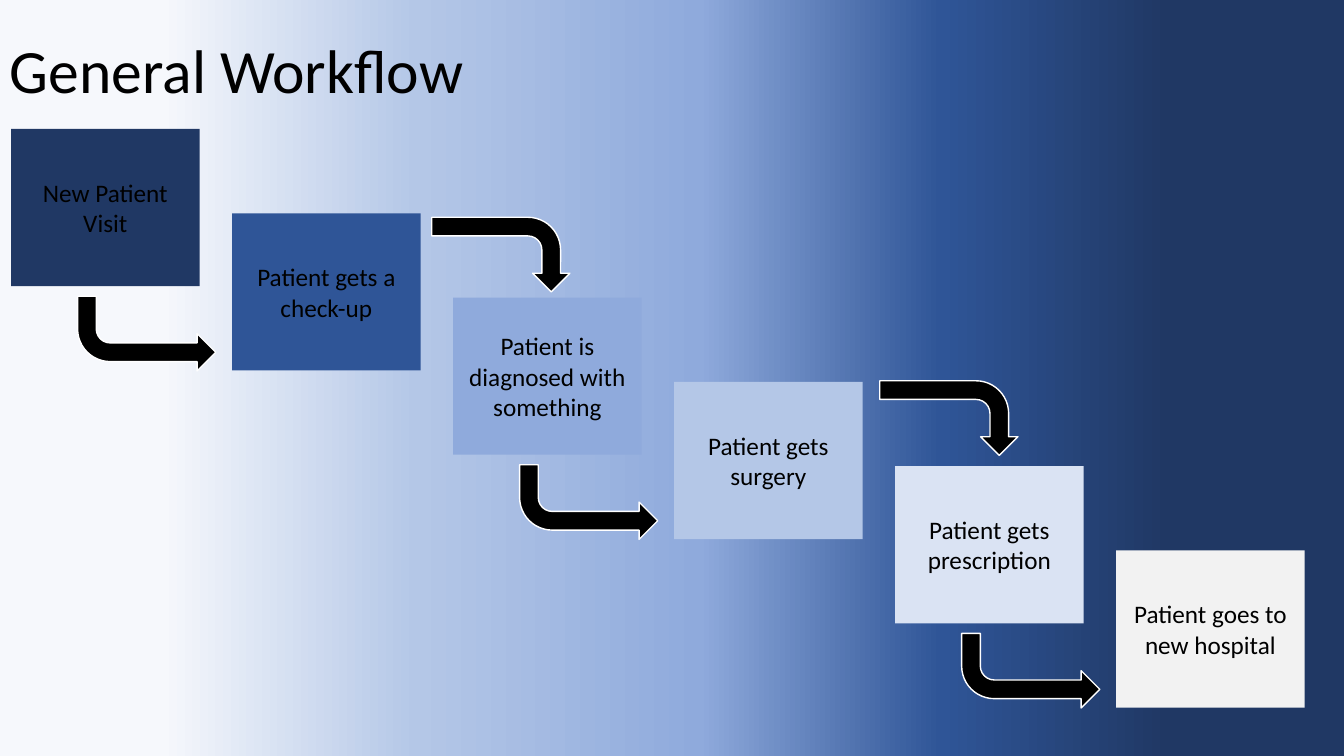
from pptx import Presentation
from pptx.dml.color import RGBColor
from pptx.enum.shapes import MSO_SHAPE
from pptx.enum.text import MSO_ANCHOR, PP_ALIGN
from pptx.oxml.ns import qn
from pptx.util import Inches, Pt
from lxml import etree

RECT, BENT_ARROW = MSO_SHAPE.RECTANGLE, MSO_SHAPE.BENT_ARROW
MIDDLE = MSO_ANCHOR.MIDDLE
LEFT, CENTER = PP_ALIGN.LEFT, PP_ALIGN.CENTER

FONT = "Calibri"
COLORS = {
    "black": "000000", "white": "FFFFFF", "mist": "F6F8FC",
    "navy": "203864", "blue": "2F5597", "sky": "8FAADC",
    "light": "B4C7E7", "pale": "DAE3F3", "grey": "F2F2F2",
}
GRADIENT = [(12, "mist"), (31, "light"), (52, "sky"), (70, "blue"), (87, "navy")]

# Step text, fill, and the offset of the arrow that leaves the step
STEPS = [
    ("New Patient Visit", "navy", (0.66, 1.66)),
    ("Patient gets a check-up", "blue", (1.98, 0.04)),
    ("Patient is diagnosed with something", "sky", (0.66, 1.66)),
    ("Patient gets surgery", "light", (2.04, -0.01)),
    ("Patient gets prescription", "pale", (0.66, 1.66)),
    ("Patient goes to new hospital", "grey", None),
]
STEP_W, STEP_H = 1.87, 1.56
ARROW_W, ARROW_H = 1.37, 0.74


def rgb(name):
    return RGBColor.from_string(COLORS[name])


def write(sp, text, size=18, color="black", align=CENTER, spacing=1.0):
    tf = sp.text_frame
    tf.word_wrap = True
    tf.vertical_anchor = MIDDLE
    p = tf.paragraphs[0]
    p.alignment = align
    p.line_spacing = spacing
    r = p.add_run()
    r.text = text
    r.font.name = FONT
    r.font.size = Pt(size)
    r.font.color.rgb = rgb(color)


def add_filled(s, kind, x, y, w, h, fill, line=None):
    sp = s.shapes.add_shape(kind, Inches(x), Inches(y), Inches(w), Inches(h))
    sp.shadow.inherit = False
    sp.fill.solid()
    sp.fill.fore_color.rgb = rgb(fill)
    if line:
        sp.line.color.rgb = rgb(line)
        sp.line.width = Pt(1)
    else:
        sp.line.fill.background()
    return sp


def paint_background(s):
    fill = s.background.fill
    fill.gradient()
    fill.gradient_angle = 0
    stops = next(s.element.iter(qn("a:gsLst")))
    for stop in list(stops):
        stops.remove(stop)
    for percent, name in GRADIENT:
        stop = etree.SubElement(stops, qn("a:gs"), pos=str(percent * 1000))
        etree.SubElement(stop, qn("a:srgbClr"), val=COLORS[name])


def add_title(s, x, y, w, h):
    sp = s.shapes.add_textbox(Inches(x), Inches(y), Inches(w), Inches(h))
    write(sp, "General Workflow", size=44, align=LEFT, spacing=0.9)


def add_arrow(s, x, y, turns_down):
    if turns_down:
        # The unrotated frame shares its centre with the visible one
        shift = (ARROW_W - ARROW_H) / 2
        sp = add_filled(s, BENT_ARROW, x + shift, y - shift, ARROW_H, ARROW_W,
                        "black", "white")
        sp.rotation = 90
    else:
        sp = add_filled(s, BENT_ARROW, x, y, ARROW_W, ARROW_H, "black", "white")
        sp.element.spPr.find(qn("a:xfrm")).set("flipV", "1")


def add_staircase(s, x, y, w, h):
    dx = (w - STEP_W) / (len(STEPS) - 1)
    dy = (h - STEP_H) / (len(STEPS) - 1)
    for i, (text, fill, offset) in enumerate(STEPS):
        left, top = x + i * dx, y + i * dy
        write(add_filled(s, RECT, left, top, STEP_W, STEP_H, fill), text)
        if offset:
            add_arrow(s, left + offset[0], top + offset[1], turns_down=i % 2 == 1)


prs = Presentation()
prs.slide_width, prs.slide_height = Inches(13.33), Inches(7.5)
s = prs.slides.add_slide(prs.slide_layouts[6])

paint_background(s)
add_title(s, 0, 0, 11.5, 1.45)
add_staircase(s, 0.11, 1.28, 12.83, 5.74)

prs.save("out.pptx")
